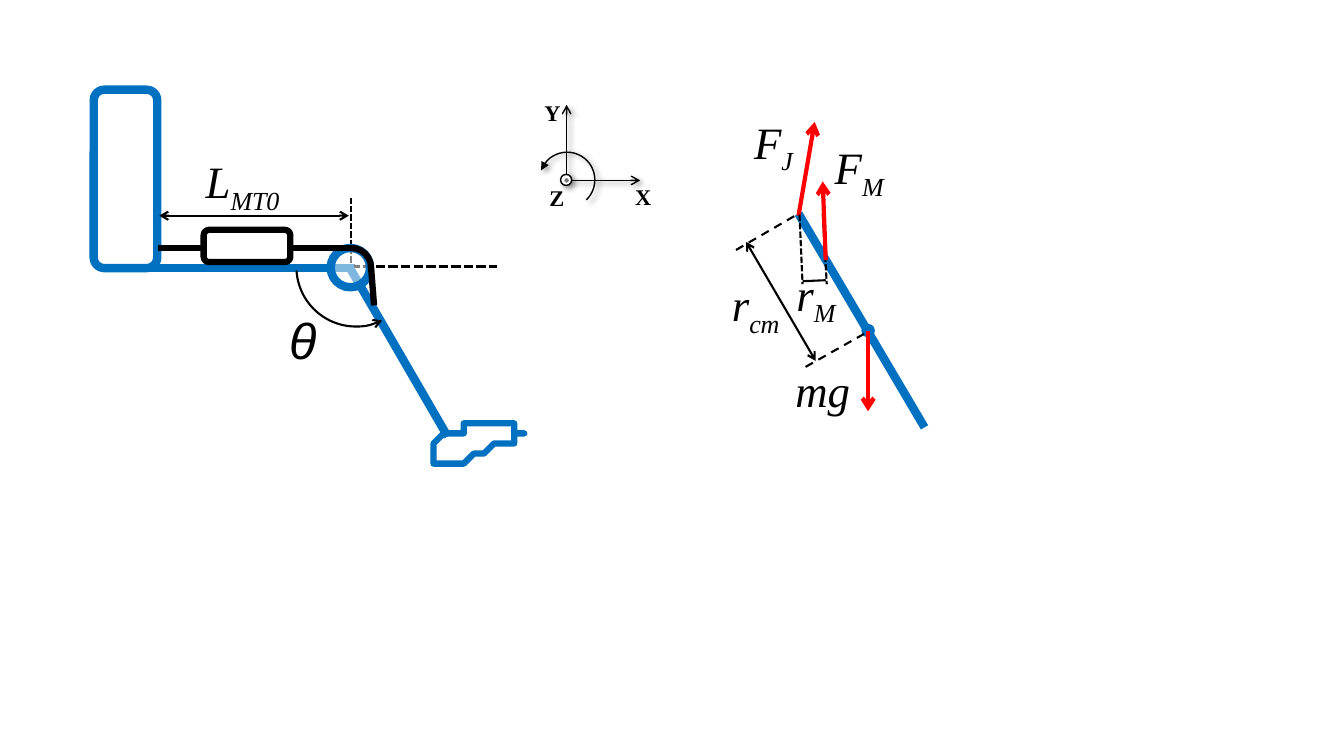
"""Leg extension sketch with its coordinate axes and shank free-body diagram."""
from lxml import etree
from pptx import Presentation
from pptx.dml.color import RGBColor
from pptx.enum.dml import MSO_LINE
from pptx.enum.shapes import MSO_CONNECTOR, MSO_SHAPE
from pptx.enum.text import MSO_AUTO_SIZE
from pptx.oxml.ns import qn
from pptx.util import Inches, Pt

STRAIGHT = MSO_CONNECTOR.STRAIGHT
ARC, OVAL, ROUNDED = MSO_SHAPE.ARC, MSO_SHAPE.OVAL, MSO_SHAPE.ROUNDED_RECTANGLE
DASH, SHORT_DASH = MSO_LINE.DASH, MSO_LINE.SQUARE_DOT
GROW = MSO_AUTO_SIZE.SHAPE_TO_FIT_TEXT
CELL = Inches(0.1)
COLORS = {"ink": "000000", "limb": "0070C0", "force": "FF0000",
          "paper": "FFFFFF", "dot": "7C7C7C"}


class Sketch:
    """Draws styled elements on one slide, measured in grid cells."""

    def __init__(self, slide):
        self.slide = slide
        self.shapes = slide.shapes

    def color(self, name):
        return RGBColor.from_string(COLORS[name])

    def style(self, sp, color, width, head=None, tail=None, dash=None, shadow=False):
        sp.line.color.rgb = self.color(color)
        sp.line.width = Pt(width)
        if dash:
            sp.line.dash_style = dash
        spPr = sp._element.spPr
        ln = spPr.find(qn("a:ln"))
        for tag, kind in (("a:headEnd", head), ("a:tailEnd", tail)):
            if kind:
                etree.SubElement(ln, qn(tag), type=kind)
        effects = etree.SubElement(spPr, qn("a:effectLst"))
        if shadow:
            outer = etree.SubElement(effects, qn("a:outerShdw"), blurRad=str(Pt(4)),
                                     dist=str(Pt(3)), dir=str(45 * 60000))
            black = etree.SubElement(outer, qn("a:srgbClr"), val=COLORS["ink"])
            etree.SubElement(black, qn("a:alpha"), val="40000")

    def line(self, start, end, color="ink", width=1.5, **ends):
        ends_emu = [round(v * CELL) for v in (*start, *end)]
        self.style(self.shapes.add_connector(STRAIGHT, *ends_emu), color, width, **ends)

    def shape(self, kind, x, y, w, h, color="ink", width=1.5, fill=None,
              alpha=None, adjust=(), **ends):
        sp = self.shapes.add_shape(kind, *(round(v * CELL) for v in (x, y, w, h)))
        for i, value in enumerate(adjust):
            sp.adjustments[i] = value
        if fill:
            sp.fill.solid()
            sp.fill.fore_color.rgb = self.color(fill)
        else:
            sp.fill.background()
        if alpha:
            srgb = sp._element.spPr.find(qn("a:solidFill"))[0]
            etree.SubElement(srgb, qn("a:alpha"), val=str(alpha * 1000))
        self.style(sp, color, width, **ends)

    def outline(self, start, curves, color, width, steps=16):
        points = []
        last = start
        for curve in curves:
            for n in range(1, steps + 1):
                t = n / steps
                weights = ((1 - t) ** 3, 3 * t * (1 - t) ** 2, 3 * t * t * (1 - t), t ** 3)
                points.append([sum(k * p[i] for k, p in zip(weights, (last, *curve)))
                               for i in (0, 1)])
            last = curve[-1]
        builder = self.shapes.build_freeform(*start, scale=CELL)
        builder.add_line_segments(points, close=True)
        sp = builder.convert_to_shape()
        sp.fill.background()
        self.style(sp, color, width)

    def label(self, x, y, w, h, text, sub="", size=32, font="Times New Roman",
              italic=True):
        tb = self.shapes.add_textbox(*(round(v * CELL) for v in (x, y, w, h)))
        tf = tb.text_frame
        tf.word_wrap = False
        tf.auto_size = GROW
        for part in filter(None, (text, sub)):
            r = tf.paragraphs[0].add_run()
            r.text = part
            r.font.size = Pt(size)
            r.font.name = font
            r.font.italic = italic
            r.font.bold = not italic
            r.font.color.rgb = self.color("ink")
            if part == sub:
                r._r.get_or_add_rPr().set("baseline", "-25000")

    def leg(self):
        self.line((34.8, 19.6), (34.8, 26.6), dash=SHORT_DASH)
        self.line((11, 26.6), (35.2, 26.6), "limb", 6)
        self.line((34.8, 26.4), (49.3, 26.4), width=2.25, dash=SHORT_DASH)
        self.line((34.6, 26.4), (44.4, 43.3), "limb", 6)
        self.shape(OVAL, 32.8, 24.6, 3.9, 3.9, "limb", 6, fill="paper", alpha=50)
        self.shape(ROUNDED, 20.2, 22.8, 8.6, 3.2, width=4.5)
        self.shape(ROUNDED, 9.3, 8.9, 6.3, 17.7, "limb", 6)
        for start, end in (((28.8, 24.6), (34.9, 24.6)), ((36.8, 26.5), (37.1, 30.3)),
                           ((15.7, 24.6), (20.1, 24.6))):
            self.line(start, end, width=4.5)
        self.shape(ARC, 32.9, 24.6, 3.9, 3.9, width=4.5)
        self.shape(ARC, 29.4, 20.6, 11.8, 11.8, adjust=(38.318, 105.879), head="arrow")
        self.label(27.7, 30.2, 4.6, 7.1, "θ", size=36, font="Arial")
        self.outline((44.1, 46.5), (((45.3, 46.5), (51.5, 43.3), (51.5, 42.7)),
                                    ((51.5, 42.1), (45.3, 42.3), (44.1, 42.9)),
                                    ((42.9, 43.5), (42.9, 46.6), (44.1, 46.5))),
                     "limb", 4.5)
        self.label(19.4, 14.8, 10.2, 6.4, "L", "MT0")
        self.line((15.8, 21.4), (34.6, 21.4), head="arrow", tail="arrow")

    def free_body(self):
        knee, mass = (79.2, 21.2), (86.1, 32.8)
        self.line(knee, (91.7, 42.4), "limb", 6)
        self.shape(OVAL, 85.5, 32.2, 1.2, 1.2, "limb", 1, fill="limb")
        for tip, foot in (((86.1, 40.8), mass), ((80.8, 12.1), (79.2, 21.4))):
            self.line(tip, foot, "force", 3, head="arrow")
        self.line((79.6, 27.9), (81.9, 27.8))
        self.line((81.6, 21.2), (82, 28.2), dash=SHORT_DASH)
        self.line((79.3, 21.3), (79.6, 28.2), dash=SHORT_DASH)
        self.line((81.6, 18), (81.9, 25.8), "force", 3, head="arrow")
        self.line((74, 24), (80.9, 35.8), head="arrow", tail="arrow")
        self.line((79.9, 36.4), (86.1, 32.9), dash=DASH)
        self.line((73, 24.8), knee, dash=DASH)
        for x, y, w, text, sub in ((77.9, 35.5, 7.8, "mg", ""), (81.8, 13.4, 7.2, "F", "M"),
                                   (73.8, 10.9, 6.1, "F", "J"), (78, 26, 6.3, "r", "M"),
                                   (71.6, 27, 7.1, "r", "cm")):
            self.label(x, y, w, 6.4, text, sub)

    def axes(self):
        self.shapes = self.slide.shapes.add_group_shape().shapes
        for end in ((63.5, 17.9), (56.2, 10.4)):
            self.line((56.2, 17.9), end, width=1, tail="arrow", shadow=True)
        self.shape(OVAL, 55.6, 17.3, 1.1, 1.1, width=1, fill="paper", shadow=True)
        self.shape(OVAL, 55.9, 17.6, 0.6, 0.6, "paper", 1, fill="dot")
        for x, y, text in ((53, 9.3, "Y"), (62, 17.7, "X"), (53.5, 17.8, "Z")):
            self.label(x, y, 3.6, 3.7, text, size=16, italic=False)
        self.shape(ARC, 53.5, 15.1, 5.5, 5.5, width=1, adjust=(120.062, 27.709),
                   head="triangle", shadow=True)
        self.shapes = self.slide.shapes


prs = Presentation()
prs.slide_width, prs.slide_height = Inches(13.33), Inches(7.5)
sketch = Sketch(prs.slides.add_slide(prs.slide_layouts[6]))
sketch.leg()
sketch.free_body()
sketch.axes()
prs.save("out.pptx")
